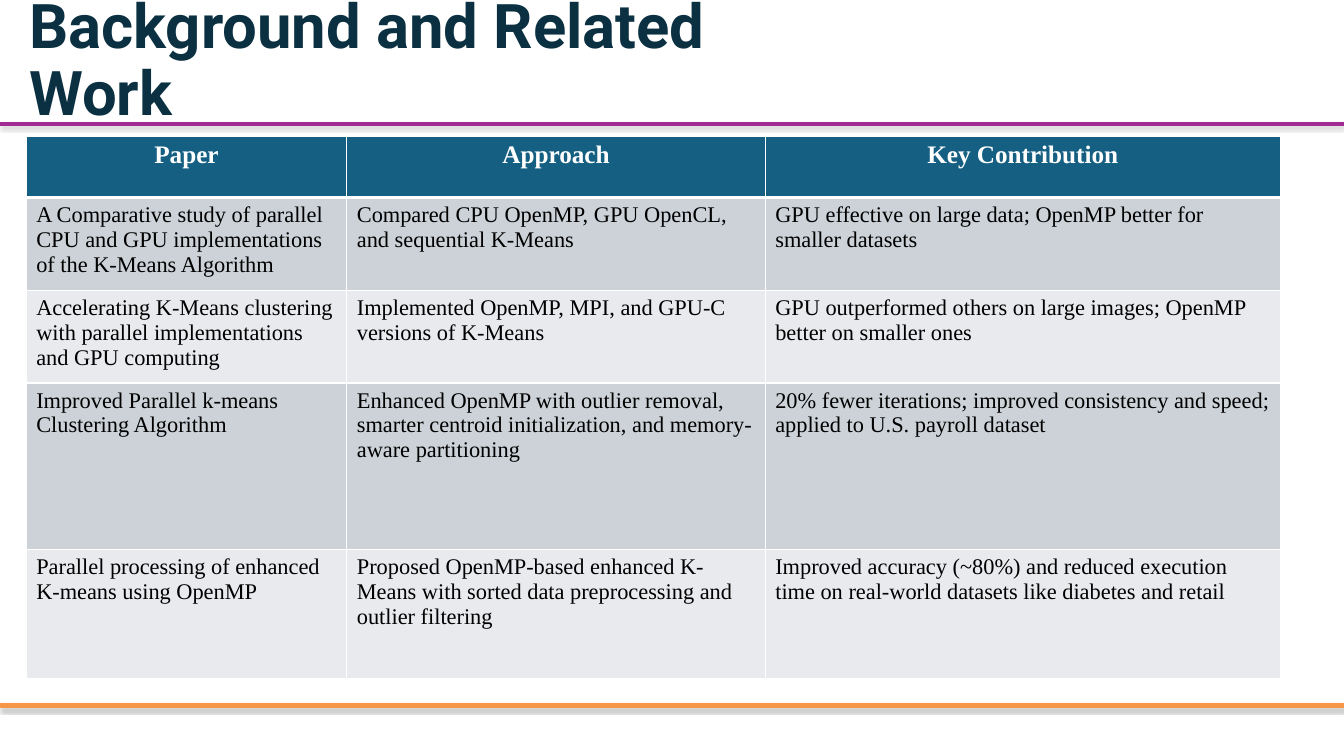
from dataclasses import dataclass

from lxml.etree import SubElement
from pptx import Presentation
from pptx.dml.color import RGBColor
from pptx.enum.shapes import MSO_CONNECTOR
from pptx.enum.text import MSO_ANCHOR, PP_ALIGN
from pptx.oxml.ns import qn
from pptx.util import Inches, Pt


@dataclass(frozen=True)
class Theme:
    title_font: str = "Roboto"
    table_font: str = "Times New Roman"
    title_size: int = 44
    header_size: int = 18
    body_size: int = 16
    title_color: str = "0B3041"
    header_text: str = "FFFFFF"
    body_text: str = "000000"
    header_fill: str = "156082"
    header_border: str = "FFFFFF"
    band_fills: tuple = ("CCD2D8", "E8EAED")
    top_rule: str = "A02B93"
    bottom_rule: str = "F79646"
    shadow: str = "000000"


THEME = Theme()
SLIDE_WIDTH, SLIDE_HEIGHT = 13.33, 7.5

COLUMN_WIDTHS = (3.18, 4.15, 5.11)
ROW_HEIGHTS = (0.61, 0.92, 0.92, 1.65, 1.28)
PAPERS = (
    ("Paper", "Approach", "Key Contribution"),
    ("A Comparative study of parallel CPU and GPU implementations of the K-Means Algorithm",
     "Compared CPU OpenMP, GPU OpenCL, and sequential K-Means",
     "GPU effective on large data; OpenMP better for smaller datasets"),
    ("Accelerating K-Means clustering with parallel implementations and GPU computing",
     "Implemented OpenMP, MPI, and GPU-C versions of K-Means",
     "GPU outperformed others on large images; OpenMP better on smaller ones"),
    ("Improved Parallel k-means Clustering Algorithm",
     "Enhanced OpenMP with outlier removal, smarter centroid initialization, "
     "and memory-aware partitioning",
     "20% fewer iterations; improved consistency and speed; applied to U.S. payroll dataset"),
    ("Parallel processing of enhanced K-means using OpenMP",
     "Proposed OpenMP-based enhanced K-Means with sorted data preprocessing "
     "and outlier filtering",
     "Improved accuracy (~80%) and reduced execution time on real-world datasets "
     "like diabetes and retail"),
)


def set_font(paragraph, name, size, color, bold):
    font = paragraph.font
    font.name, font.size, font.bold = name, Pt(size), bold
    font.color.rgb = RGBColor.from_string(color)


def add_rule(slide, left, top, width, color, weight, shadow_alpha, shadow_distance):
    """Draw a horizontal line with a soft shadow below it."""
    rule = slide.shapes.add_connector(
        MSO_CONNECTOR.STRAIGHT,
        Inches(left), Inches(top), Inches(left + width), Inches(top))
    rule.line.color.rgb = RGBColor.from_string(color)
    rule.line.width = Pt(weight)
    effects = SubElement(rule._element.spPr, qn("a:effectLst"))
    shadow = SubElement(effects, qn("a:outerShdw"), blurRad=str(Pt(3.1)),
                        dist=str(Pt(shadow_distance)), dir="5400000", rotWithShape="0")
    shadow_color = SubElement(shadow, qn("a:srgbClr"), val=THEME.shadow)
    SubElement(shadow_color, qn("a:alpha"), val=str(shadow_alpha * 1000))


def add_title(slide, left, top, width, height, text):
    box = slide.shapes.add_textbox(Inches(left), Inches(top), Inches(width), Inches(height))
    frame = box.text_frame
    frame.word_wrap = True
    frame.vertical_anchor = MSO_ANCHOR.MIDDLE
    paragraph = frame.paragraphs[0]
    paragraph.text = text
    paragraph.line_spacing = 0.9
    set_font(paragraph, THEME.title_font, THEME.title_size, THEME.title_color, True)


def set_bottom_border(cell, color, weight):
    """Add a bottom border; call it before the cell gets its fill."""
    properties = cell._tc.get_or_add_tcPr()
    border = SubElement(properties, qn("a:lnB"), w=str(Pt(weight)))
    border_fill = SubElement(border, qn("a:solidFill"))
    SubElement(border_fill, qn("a:srgbClr"), val=color)


def add_paper_table(slide, left, top):
    table = slide.shapes.add_table(
        len(PAPERS), len(COLUMN_WIDTHS), Inches(left), Inches(top),
        Inches(sum(COLUMN_WIDTHS)), Inches(sum(ROW_HEIGHTS))).table
    for column, width in zip(table.columns, COLUMN_WIDTHS):
        column.width = Inches(width)
    for row_index, (row, height, texts) in enumerate(zip(table.rows, ROW_HEIGHTS, PAPERS)):
        row.height = Inches(height)
        is_header = row_index == 0
        fill = THEME.header_fill if is_header else THEME.band_fills[(row_index - 1) % 2]
        size = THEME.header_size if is_header else THEME.body_size
        color = THEME.header_text if is_header else THEME.body_text
        for cell, text in zip(row.cells, texts):
            if is_header:
                set_bottom_border(cell, THEME.header_border, 3)
            cell.fill.solid()
            cell.fill.fore_color.rgb = RGBColor.from_string(fill)
            paragraph = cell.text_frame.paragraphs[0]
            paragraph.text = text
            paragraph.alignment = PP_ALIGN.CENTER if is_header else PP_ALIGN.LEFT
            set_font(paragraph, THEME.table_font, size, color, is_header)


def build_related_work(presentation):
    slide = presentation.slides.add_slide(presentation.slide_layouts[6])
    # Rules above and below the content
    add_rule(slide, 0, 1.23, SLIDE_WIDTH, THEME.top_rule, 2.25, 38, 1.6)
    add_rule(slide, 0, 7, SLIDE_WIDTH, THEME.bottom_rule, 3, 35, 1.8)
    # Heading and comparison of papers
    add_title(slide, 0.19, 0.09, 8.24, 1.05, "Background and Related Work")
    add_paper_table(slide, 0.26, 1.35)


def main():
    presentation = Presentation()
    presentation.slide_width = Inches(SLIDE_WIDTH)
    presentation.slide_height = Inches(SLIDE_HEIGHT)
    build_related_work(presentation)
    presentation.save("out.pptx")


if __name__ == "__main__":
    main()
